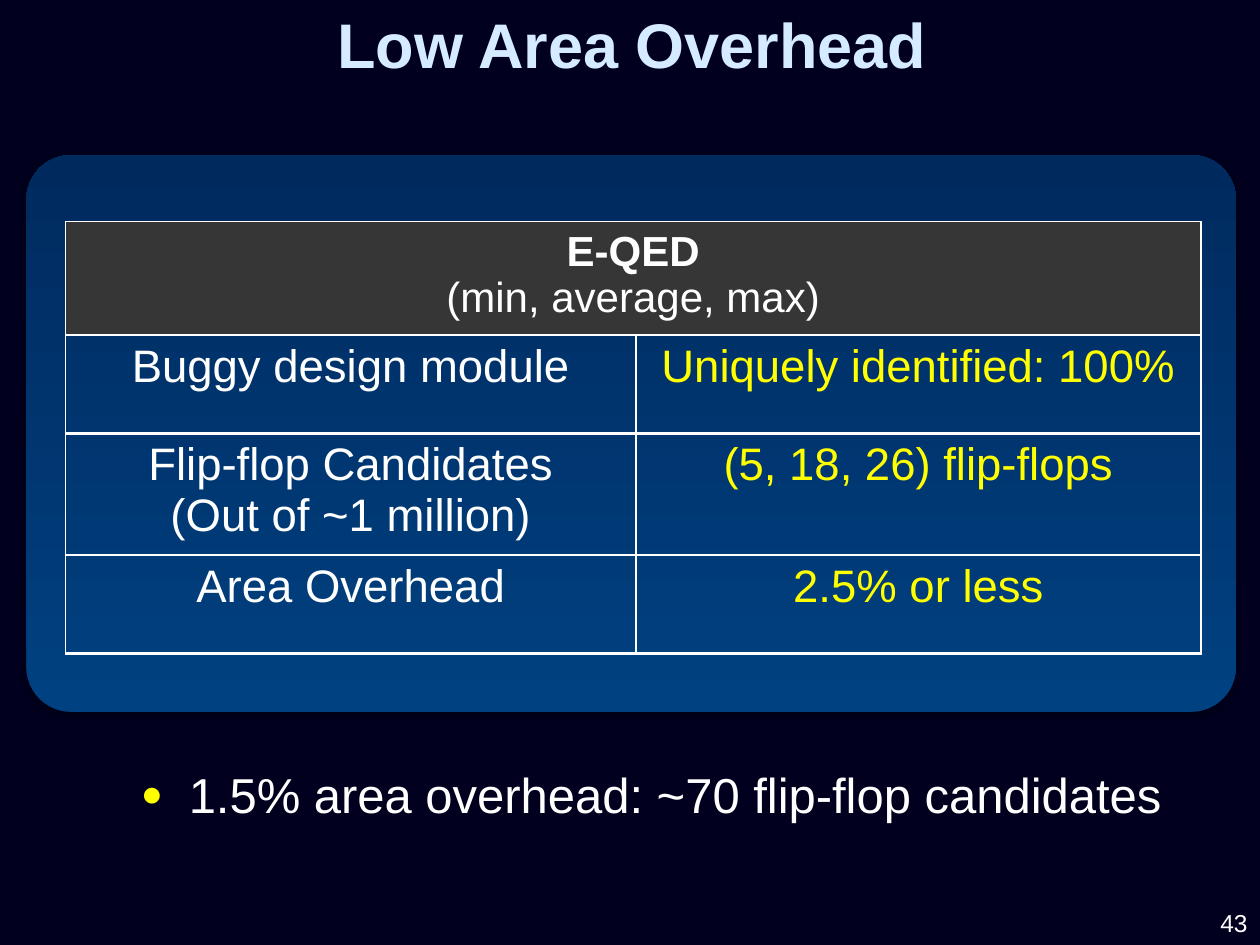
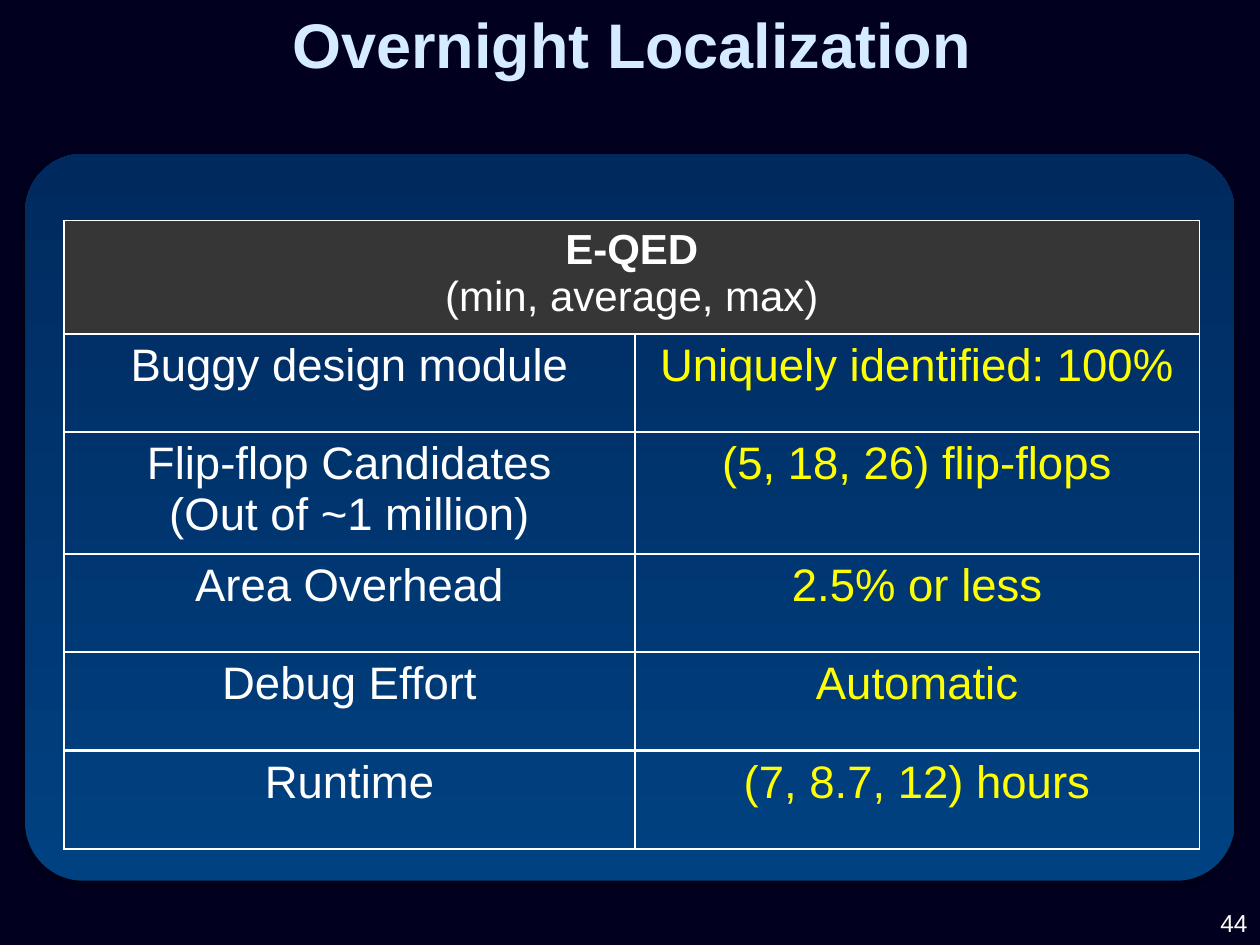
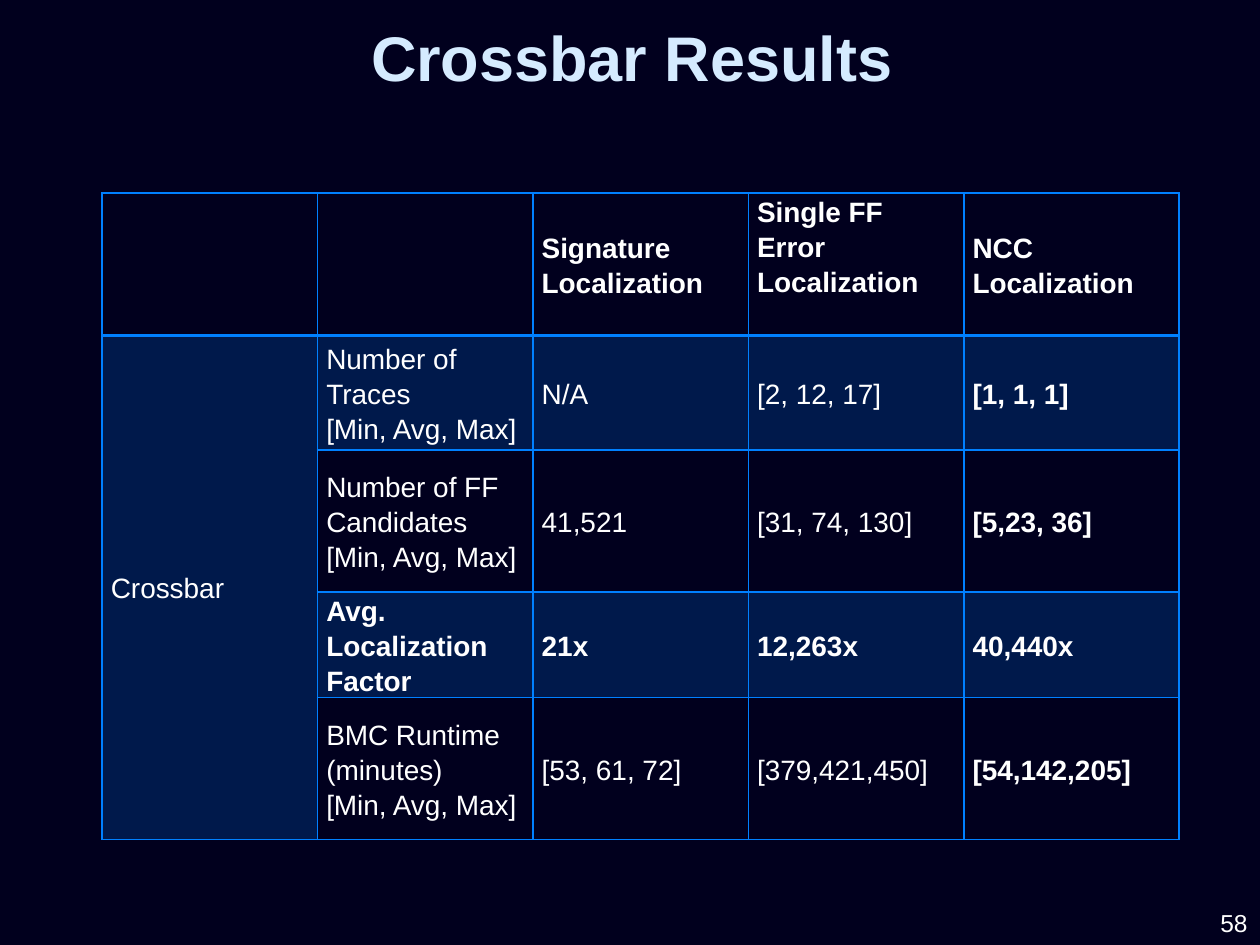
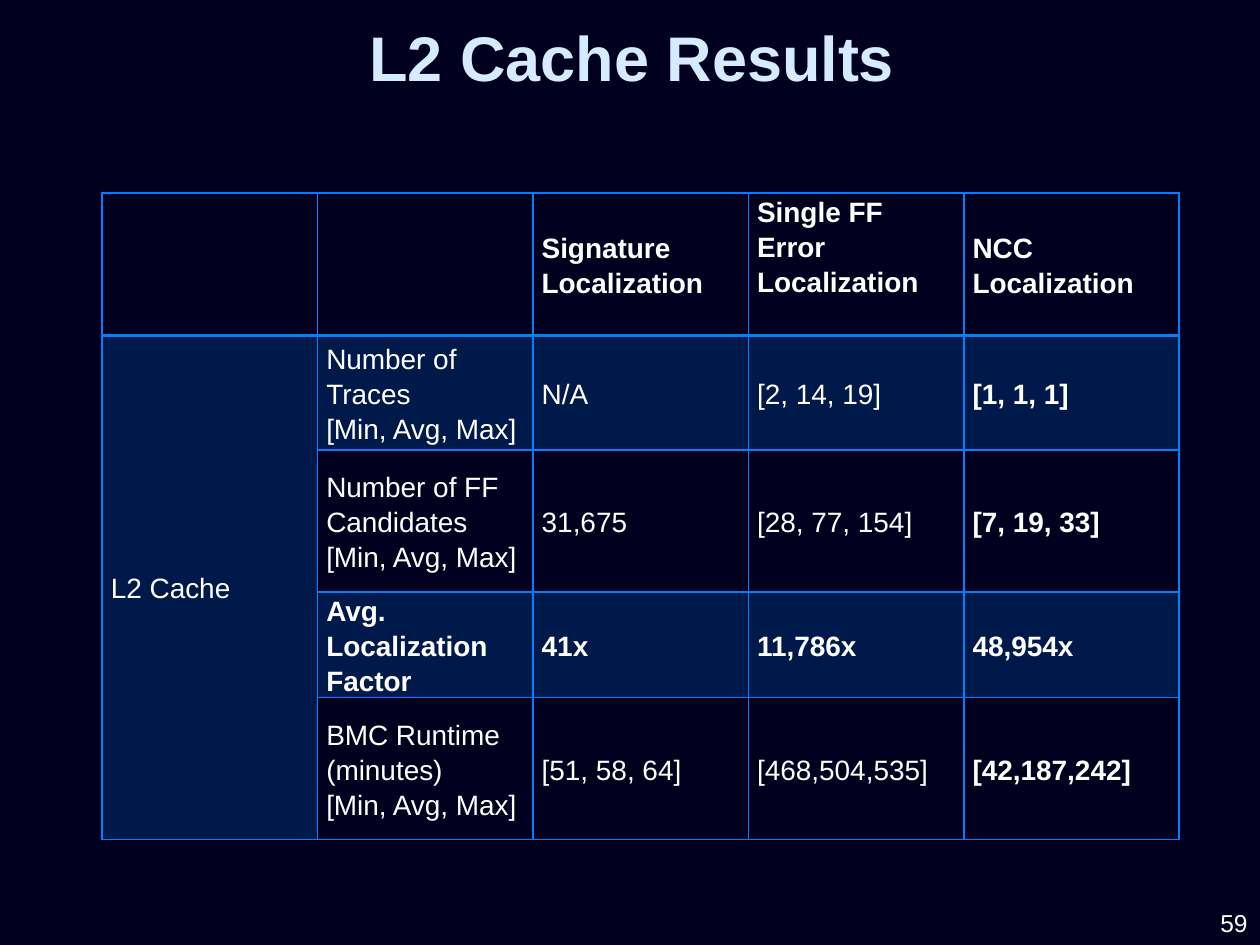
"""Build four slides of localization result tables on a dark theme."""
import pptx
import pptx.dml.color
import pptx.enum.shapes
import pptx.enum.text
import pptx.oxml
import pptx.oxml.ns
import pptx.util

Inches, Pt = pptx.util.Inches, pptx.util.Pt
ALIGN = pptx.enum.text.PP_ALIGN
ANCHOR = pptx.enum.text.MSO_ANCHOR
NAMESPACE = pptx.oxml.ns.nsdecls("a")

FONT = "Arial"
NIGHT, WHITE, YELLOW, ICE = "01001E", "FFFFFF", "FFFF00", "D5EBFF"
PANEL_LOW, PANEL_HIGH = "004181", "002A5E"
CHARCOAL, AZURE = "363636", "0080FF"

SUMMARY_ROWS = [
    ("Buggy design module", "Uniquely identified: 100%"),
    ("Flip-flop Candidates\n(Out of ~1 million)", "(5, 18, 26) flip-flops"),
    ("Area Overhead", "2.5% or less"),
    ("Debug Effort", "Automatic"),
    ("Runtime", "(7, 8.7, 12) hours"),
]
RESULT_HEADS = ["", "", "Signature\nLocalization", "Single FF Error\nLocalization", "NCC\nLocalization"]
RESULT_LABELS = [
    "Number of Traces\n[Min, Avg, Max]",
    "Number of FF Candidates\n[Min, Avg, Max]",
    "Avg. Localization Factor",
    "BMC Runtime (minutes)\n[Min, Avg, Max]",
]
CROSSBAR = [
    ("N/A", "[2, 12, 17]", "[1, 1, 1]"),
    ("41,521", "[31, 74, 130]", "[5,23, 36]"),
    ("21x", "12,263x", "40,440x"),
    ("[53, 61, 72]", "[379,421,450]", "[54,142,205]"),
]
L2_CACHE = [
    ("N/A", "[2, 14, 19]", "[1, 1, 1]"),
    ("31,675", "[28, 77, 154]", "[7, 19, 33]"),
    ("41x", "11,786x", "48,954x"),
    ("[51, 58, 64]", "[468,504,535]", "[42,187,242]"),
]
FACTOR_ROW = 3


def colour(value):
    return pptx.dml.color.RGBColor.from_string(value)


def xml(markup):
    return pptx.oxml.parse_xml(markup.replace(">", f" {NAMESPACE}>", 1))


class Builder:
    """Hold the deck style and the current slide, and draw elements on it."""

    def __init__(self):
        self.deck = pptx.Presentation()
        self.deck.slide_width, self.deck.slide_height = Inches(10), Inches(7.5)
        fill = self.deck.slide_master.background.fill
        fill.solid()
        fill.fore_color.rgb = colour(NIGHT)
        self.page = None

    def start_page(self, title, number, title_top):
        self.page = self.deck.slides.add_slide(self.deck.slide_layouts[6])
        heading = self.text(title, 0.11, title_top, 9.81, 0.71, 36, ICE, ALIGN.CENTER, bold=True)
        heading.text_frame.auto_size = pptx.enum.text.MSO_AUTO_SIZE.SHAPE_TO_FIT_TEXT
        self.text(str(number), 8.18, 7.15, 1.82, 0.35, 14, WHITE, ALIGN.RIGHT)

    def style(self, para, size, tint, bold=False, align=None):
        para.alignment = align
        for span in para.runs:
            span.font.name = FONT
            span.font.size = Pt(size)
            span.font.bold = bold
            span.font.color.rgb = colour(tint)

    def text(self, words, left, top, width, height, size, tint, align=None, bold=False):
        box = self.page.shapes.add_textbox(Inches(left), Inches(top), Inches(width), Inches(height))
        frame = box.text_frame
        frame.word_wrap = True
        frame.vertical_anchor = ANCHOR.MIDDLE
        frame.text = words
        for para in frame.paragraphs:
            self.style(para, size, tint, bold, align)
        return box

    def bullet(self, words, left, top, width, height, inset):
        box = self.text(words, left, top, width, height, 28, WHITE)
        box.text_frame.vertical_anchor = ANCHOR.TOP
        box.text_frame.margin_top = Inches(inset)
        properties = box.text_frame.paragraphs[0]._p.get_or_add_pPr()
        properties.set("lvl", "1")
        properties.set("marL", str(Inches(0.88)))
        properties.set("indent", str(Inches(-0.38)))
        properties.append(xml(f'<a:buClr><a:srgbClr val="{YELLOW}"/></a:buClr>'))
        properties.append(xml('<a:buSzPct val="75000"></a:buSzPct>'.replace("></a:buSzPct>", "></a:buSzPct>")))
        properties.append(xml('<a:buFont typeface="Arial"></a:buFont>'))
        properties.append(xml('<a:buChar char="●"></a:buChar>'))

    def panel(self, left, top, height):
        box = self.page.shapes.add_shape(
            pptx.enum.shapes.MSO_SHAPE.ROUNDED_RECTANGLE,
            Inches(left), Inches(top), Inches(9.6), Inches(height))
        box.adjustments[0] = 0.08
        box.line.fill.background()
        box.fill.gradient()
        box.fill.gradient_angle = 90
        for stop, tint, position in zip(box.fill.gradient_stops, (PANEL_LOW, PANEL_HIGH), (0, 1)):
            stop.color.rgb = colour(tint)
            stop.position = position
        box.shadow.inherit = False
        effects = box._element.spPr.find(pptx.oxml.ns.qn("a:effectLst"))
        effects.append(xml(
            f'<a:outerShdw blurRad="{Pt(3.1)}" dist="{Pt(1.8)}" dir="5400000" rotWithShape="0">'
            '<a:srgbClr val="000000"><a:alpha val="35000"/></a:srgbClr></a:outerShdw>'))

    def table(self, left, top, height, columns, rows):
        frame = self.page.shapes.add_table(
            len(rows), len(columns), Inches(left), Inches(top), Inches(sum(columns)), Inches(height))
        grid = frame.table
        grid.first_row = grid.horz_banding = False
        for column, width in zip(grid.columns, columns):
            column.width = Inches(width)
        for row, size in zip(grid.rows, rows):
            row.height = Inches(size)
        frame.height = Inches(height)
        return grid

    def cell(self, cell, words, size, tint, line, widths, bold=False, align=None, fill=None, alpha=100):
        """Fill one cell; widths are the left, right, top and bottom borders."""
        properties = cell._tc.get_or_add_tcPr()
        for side, width in zip("LRTB", widths):
            properties.append(xml(
                f'<a:ln{side} w="{Pt(width)}">'
                f'<a:solidFill><a:srgbClr val="{line}"/></a:solidFill></a:ln{side}>'))
        if fill:
            cell.fill.solid()
            cell.fill.fore_color.rgb = colour(fill)
            shade = properties.find(".//" + pptx.oxml.ns.qn("a:solidFill") + "[last()]")
            shade = properties.findall(pptx.oxml.ns.qn("a:solidFill"))[0]
            if alpha < 100:
                shade[0].append(xml(f'<a:alpha val="{alpha * 1000}"></a:alpha>'))
        else:
            cell.fill.background()
        cell.text_frame.text = words
        for para in cell.text_frame.paragraphs:
            self.style(para, size, tint, bold, align)

    def summary(self, left, top, height, count):
        """Draw the E-QED table with the first count rows of the summary."""
        grid = self.table(left, top, height, [4.53, 4.48], [0.69] + [0.78] * count)
        for column in range(2):
            self.cell(grid.cell(0, column), "", 24, WHITE, WHITE, (1, 1, 1, 1.5), fill=CHARCOAL)
        head = grid.cell(0, 0)
        head.merge(grid.cell(0, 1))
        head.text_frame.text = "E-QED\n(min, average, max)"
        for para, bold in zip(head.text_frame.paragraphs, (True, False)):
            self.style(para, 24, WHITE, bold, ALIGN.CENTER)
        for row, (label, value) in enumerate(SUMMARY_ROWS[:count], 1):
            self.cell(grid.cell(row, 0), label, 26, WHITE, WHITE, (1, 1.5, 1.5, 1.5), align=ALIGN.CENTER)
            self.cell(grid.cell(row, 1), value, 26, YELLOW, WHITE, (1.5, 1, 1.5, 1.5), align=ALIGN.CENTER)

    def results(self, block, values):
        """Draw the localization table of one design block."""
        grid = self.table(0.81, 1.53, 5.14, [1.71] * 5, [1.13, 0.91, 1.13, 0.68, 1.13])
        lines = [RESULT_HEADS]
        for label, numbers in zip(RESULT_LABELS, values):
            lines.append(["", label, *numbers])
        lines[1][0] = block
        for row, line in enumerate(lines):
            for column, words in enumerate(line):
                cell = grid.cell(row, column)
                bold = row in (0, FACTOR_ROW) or column == 4
                banded = row % 2 == 1 or (row and column == 0)
                borders = (1, 1, 2 if row == 1 else 1, 2 if row == 0 else 1)
                self.cell(cell, words, 16, WHITE, AZURE, borders, bold,
                          fill=AZURE if banded else None, alpha=20)
                cell.vertical_anchor = ANCHOR.MIDDLE
                cell.margin_left = cell.margin_right = Inches(0.07)
                cell.margin_top = cell.margin_bottom = 0
                for para in cell.text_frame.paragraphs:
                    para.line_spacing = Pt(20)
        grid.cell(0, 3).margin_bottom = Inches(0.28)
        grid.cell(1, 0).merge(grid.cell(4, 0))


def main():
    builder = Builder()

    builder.start_page("Low Area Overhead", 43, -0.01)
    builder.panel(0.21, 1.23, 4.42)
    builder.summary(0.52, 1.76, 3.43, 3)
    builder.bullet("1.5% area overhead: ~70 flip-flop candidates", 0.52, 5.07, 9.6, 1.95, inset=1)

    builder.start_page("Overnight Localization", 44, -0.01)
    builder.panel(0.2, 1.22, 5.77)
    builder.summary(0.51, 1.75, 4.99, 5)

    for number, block, values in ((58, "Crossbar", CROSSBAR), (59, "L2 Cache", L2_CACHE)):
        builder.start_page(f"{block} Results", number, 0.09)
        builder.results(block, values)

    builder.deck.save("out.pptx")


if __name__ == "__main__":
    main()
